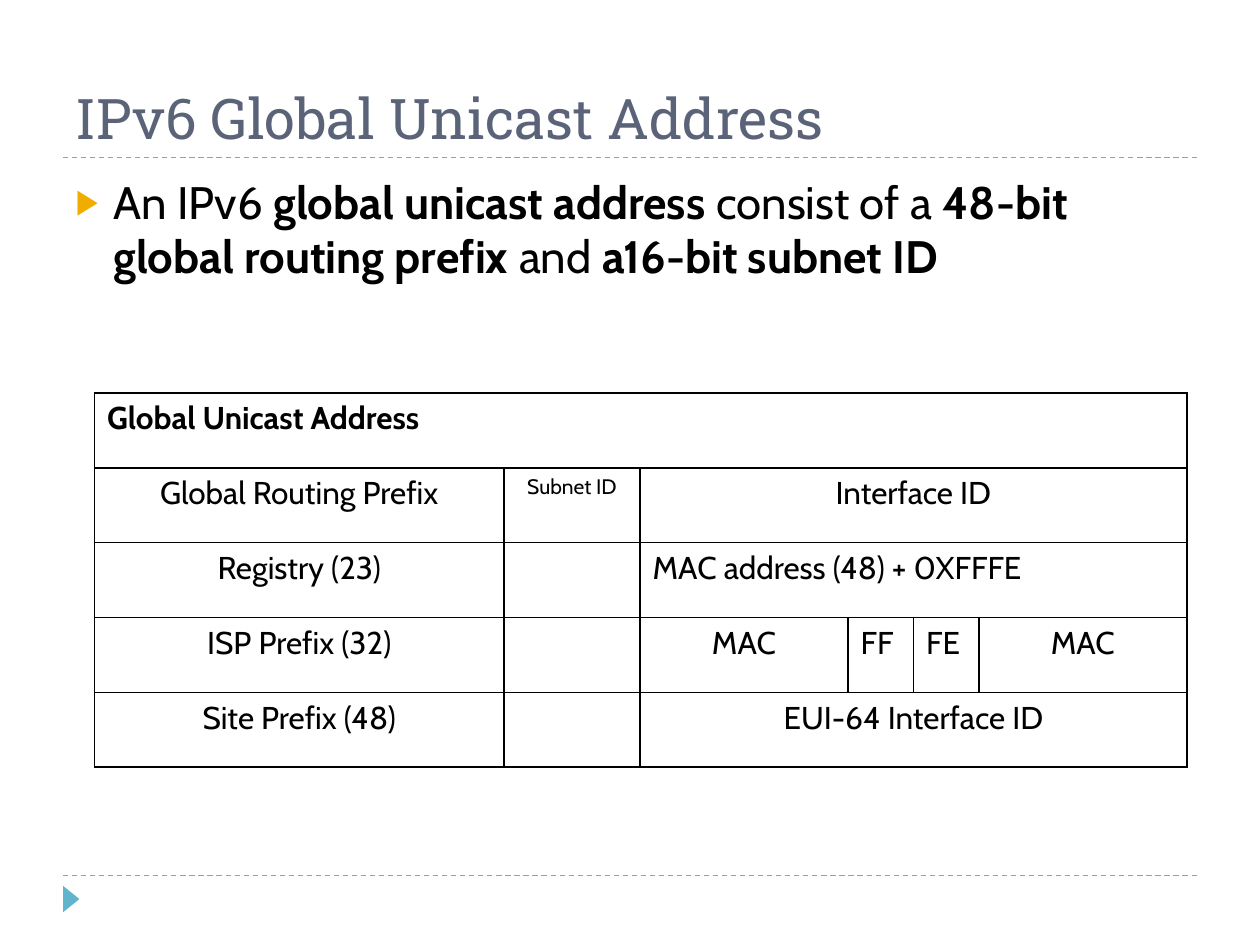
"""Build a slide on the layout of an IPv6 global unicast address."""
from lxml.etree import SubElement
from pptx import Presentation
from pptx.dml.color import RGBColor
from pptx.enum.dml import MSO_LINE
from pptx.enum.shapes import MSO_CONNECTOR, MSO_SHAPE
from pptx.enum.text import MSO_ANCHOR, MSO_AUTO_SIZE, PP_ALIGN as AL
from pptx.oxml import parse_xml
from pptx.oxml.ns import nsdecls, qn
from pptx.util import Inches, Pt

prs = Presentation()
prs.slide_width, prs.slide_height = Inches(10), Inches(7.5)
W, H = prs.slide_width, prs.slide_height
s = prs.slides.add_slide(prs.slide_layouts[1])


def box(*pct):
    """Turn percentages of the slide into left, top, width, height."""
    return [int(v * side / 100) for v, side in zip(pct, (W, H, W, H))]


def add_run(p, text, size, color="000000", bold=False, name="Cabin"):
    """Add one formatted run to a paragraph."""
    r = p.add_run()
    r.text = text
    r.font.size, r.font.bold, r.font.name = Pt(size), bold, name
    r.font.color.rgb = RGBColor.from_string(color)


for y in (92.67, 16.67):
    rule = s.shapes.add_connector(MSO_CONNECTOR.STRAIGHT, *box(5, y, 95, y))
    rule.line.color.rgb = RGBColor.from_string("60B5CC")
    rule.line.width, rule.line.dash_style = Pt(0.75), MSO_LINE.DASH
    SubElement(rule.element.spPr, qn("a:effectLst"))

sp = s.shapes.add_shape(MSO_SHAPE.ISOSCELES_TRIANGLE, *box(4.6, 94.27, 2.1, 1.73))
sp.rotation = 90
sp.shadow.inherit = False
sp.fill.solid()
sp.fill.fore_color.rgb = RGBColor.from_string("60B5CC")
sp.line.fill.background()

title, body = s.shapes.title, s.placeholders[1]
for sp, place, anchor in ((title, box(5, 2.27, 90, 14.4), MSO_ANCHOR.BOTTOM),
                          (body, box(5, 17.73, 90, 72), MSO_ANCHOR.TOP)):
    sp.left, sp.top, sp.width, sp.height = place
    tf = sp.text_frame
    tf.auto_size, tf.word_wrap, tf.vertical_anchor = MSO_AUTO_SIZE.NONE, True, anchor
    tf.paragraphs[0].alignment = AL.LEFT
    tf.paragraphs[0].space_before = Pt(0)

add_run(title.text_frame.paragraphs[0], "IPv6 Global Unicast Address", 32, "5A6378",
        name="Roboto Slab")

p = body.text_frame.paragraphs[0]
pPr = p._p.get_or_add_pPr()
pPr.set("marL", str(Inches(0.3)))
pPr.set("indent", str(-Inches(0.3)))
for bullet in ('<a:buClr {}><a:srgbClr val="F0AD00"/></a:buClr>',
               '<a:buSzPct {} val="76000"/>',
               '<a:buFont {} typeface="Arial"/>',
               '<a:buChar {} char="▶"/>'):
    pPr.append(parse_xml(bullet.format(nsdecls("a"))))
for text, bold in (("An IPv6 ", False), ("global unicast address ", True),
                   ("consist of a ", False), ("48-bit global routing prefix", True),
                   (" and ", False), ("a16-bit subnet ID", True)):
    add_run(p, text, 26, bold=bold)

rows = [
    ["Global Unicast Address"],
    ["Global Routing Prefix", "Subnet ID", "Interface ID"],
    ["Registry (23)", "", "MAC address (48) + 0XFFFE"],
    ["ISP Prefix (32)", "", "MAC", "FF", "FE", "MAC"],
    ["Site Prefix (48)", "", "EUI-64 Interface ID"],
]
cols = [32.5, 10.8, 16.5, 5.2, 5.2, 16.5]
left_aligned = {"Global Unicast Address", "MAC address (48) + 0XFFFE", "FF", "FE"}
table = s.shapes.add_table(len(rows), len(cols), *box(7.5, 41.6, sum(cols), 39.6)).table
table.first_row = table.horz_banding = False
for col, share in zip(table.columns, cols):
    col.width = int(W * share / 100)

for i, row in enumerate(rows):
    if len(row) < len(cols):
        table.cell(i, len(row) - 1).merge(table.cell(i, len(cols) - 1))
    for j in range(len(cols)):
        cell = table.cell(i, j)
        tcPr = cell._tc.get_or_add_tcPr()
        for side in ("lnL", "lnR", "lnT", "lnB"):
            ln = SubElement(tcPr, qn(f"a:{side}"), w=str(Pt(1)))
            fill = SubElement(ln, qn("a:solidFill"))
            SubElement(fill, qn("a:srgbClr"), val="000000")
        cell.fill.background()
        if j < len(row) and row[j]:
            p = cell.text_frame.paragraphs[0]
            p.alignment = AL.LEFT if row[j] in left_aligned else AL.CENTER
            add_run(p, row[j], 12 if row[j] == "Subnet ID" else 18, bold=i == 0)

prs.save("out.pptx")
